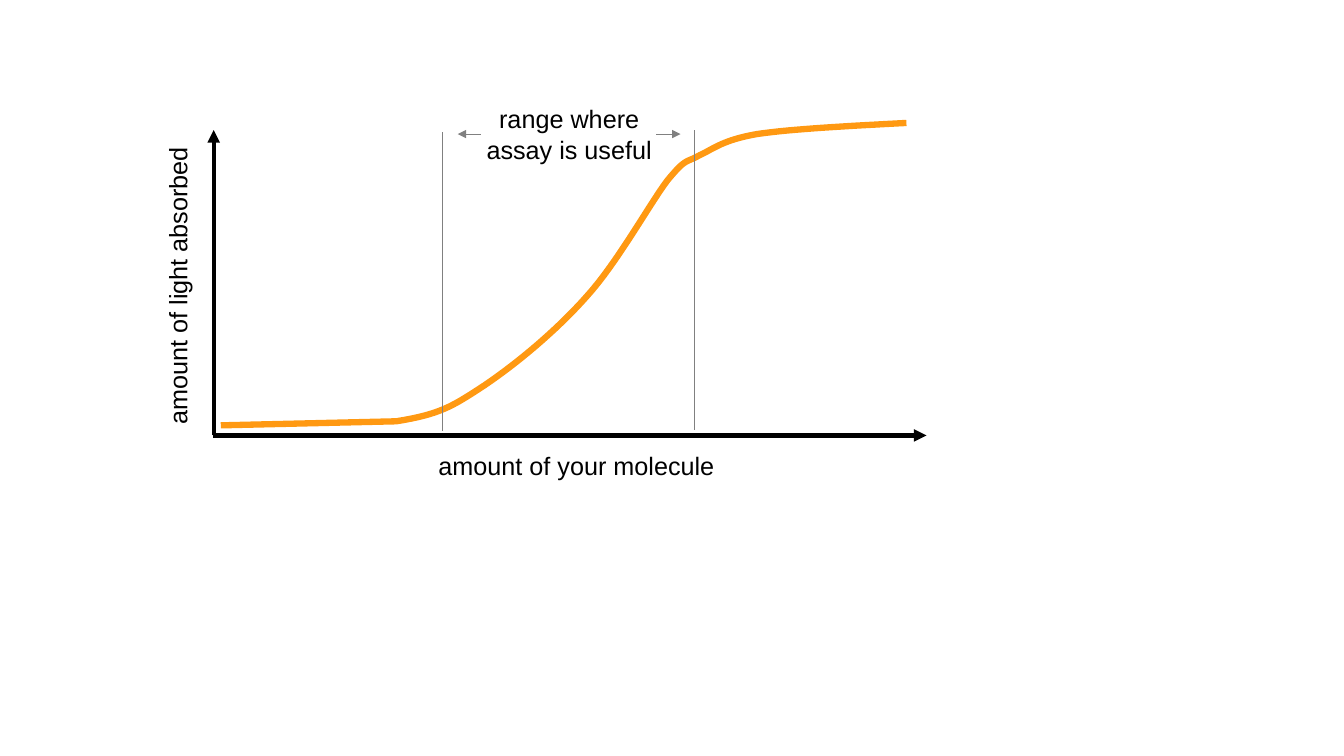
from pptx import Presentation
from pptx.dml.color import RGBColor
from pptx.enum.shapes import MSO_CONNECTOR
from pptx.enum.text import MSO_AUTO_SIZE, PP_ALIGN
from pptx.oxml.ns import qn
from pptx.util import Inches, Pt
from lxml.etree import SubElement

BLACK, GREY, ORANGE = "000000", "808080", "FF9912"
STEPS = 16  # straight pieces per Bezier segment

CURVE_START = (2.19, 4.22)
CURVE_BEND = (3.93, 4.18)
# Each segment: two control points and an end point
CURVE_SEGMENTS = [
    ((4.37, 4.11), (4.49, 4.03), (4.81, 3.82)),
    ((5.12, 3.61), (5.52, 3.28), (5.82, 2.94)),
    ((6.12, 2.61), (6.44, 2.03), (6.62, 1.79)),
    ((6.81, 1.56), (6.80, 1.62), (6.94, 1.54)),
    ((7.09, 1.47), (7.17, 1.39), (7.51, 1.33)),
    ((7.85, 1.28), (8.42, 1.25), (8.99, 1.22)),
]


def color(hex_string):
    return RGBColor.from_string(hex_string)


def to_emu(point):
    return tuple(Inches(value) for value in point)


def add_line(slide, start, end, line_color, width, arrow=False):
    connector = slide.shapes.add_connector(
        MSO_CONNECTOR.STRAIGHT, *to_emu(start), *to_emu(end))
    connector.line.color.rgb = color(line_color)
    connector.line.width = Pt(width)
    if arrow:
        SubElement(connector.line._get_or_add_ln(), qn("a:tailEnd"), type="triangle")
    SubElement(connector._element.spPr, qn("a:effectLst"))


def add_label(slide, text, left, top, width, height, rotation=0, wrap=False,
              alignment=PP_ALIGN.LEFT):
    label = slide.shapes.add_textbox(
        Inches(left), Inches(top), Inches(width), Inches(height))
    label.rotation = rotation
    frame = label.text_frame
    frame.word_wrap = wrap
    frame.auto_size = MSO_AUTO_SIZE.SHAPE_TO_FIT_TEXT
    paragraph = frame.paragraphs[0]
    paragraph.text = text
    paragraph.alignment = alignment
    paragraph.font.name = "Arial"
    paragraph.font.size = Pt(18)
    paragraph.font.color.rgb = color(BLACK)


def bezier_point(points, t):
    weights = ((1 - t) ** 3, 3 * t * (1 - t) ** 2, 3 * t ** 2 * (1 - t), t ** 3)
    return tuple(sum(weight * point[axis] for weight, point in zip(weights, points))
                 for axis in (0, 1))


def add_curve(slide):
    points = [CURVE_BEND]
    for segment in CURVE_SEGMENTS:
        controls = (points[-1], *segment)
        points += [bezier_point(controls, step / STEPS) for step in range(1, STEPS + 1)]
    # The builder rounds to whole units, so points go in as EMU
    builder = slide.shapes.build_freeform(*to_emu(CURVE_START))
    builder.add_line_segments([to_emu(point) for point in points], close=False)
    curve = builder.convert_to_shape()
    curve.shadow.inherit = False
    curve.fill.background()
    curve.line.color.rgb = color(ORANGE)
    curve.line.width = Pt(4.5)


def main():
    presentation = Presentation()
    presentation.slide_width = Inches(13.33)
    presentation.slide_height = Inches(7.5)
    slide = presentation.slides.add_slide(presentation.slide_layouts[6])

    # Axes
    add_line(slide, (2.12, 4.32), (2.12, 1.29), BLACK, 3, arrow=True)
    add_line(slide, (2.11, 4.32), (9.19, 4.32), BLACK, 3, arrow=True)

    # Absorption curve
    add_curve(slide)

    # Axis labels
    add_label(slide, "amount of your molecule", 4.25, 4.42, 2.96, 0.4)
    add_label(slide, "amount of light absorbed", 0.27, 2.62, 2.98, 0.4, rotation=270)

    # Useful range: limits, label and arrows
    add_line(slide, (4.39, 1.31), (4.39, 4.28), GREY, 0.5)
    add_line(slide, (6.89, 1.29), (6.89, 4.27), GREY, 0.5)
    add_label(slide, "range where assay is useful", 4.54, 0.98, 2.21, 0.71,
              wrap=True, alignment=PP_ALIGN.CENTER)
    for start, end in ((6.51, 6.75), (4.77, 4.54)):
        add_line(slide, (start, 1.33), (end, 1.33), GREY, 0.5, arrow=True)

    presentation.save("out.pptx")


main()
